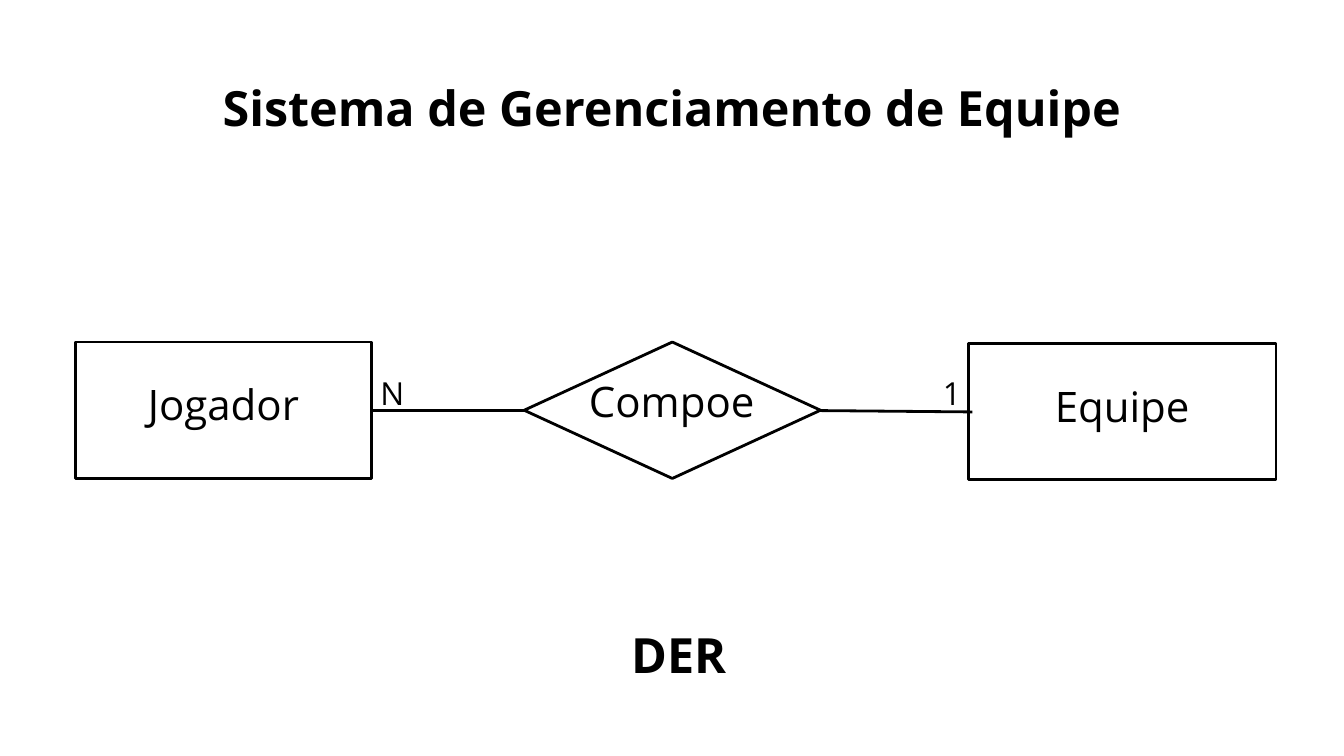
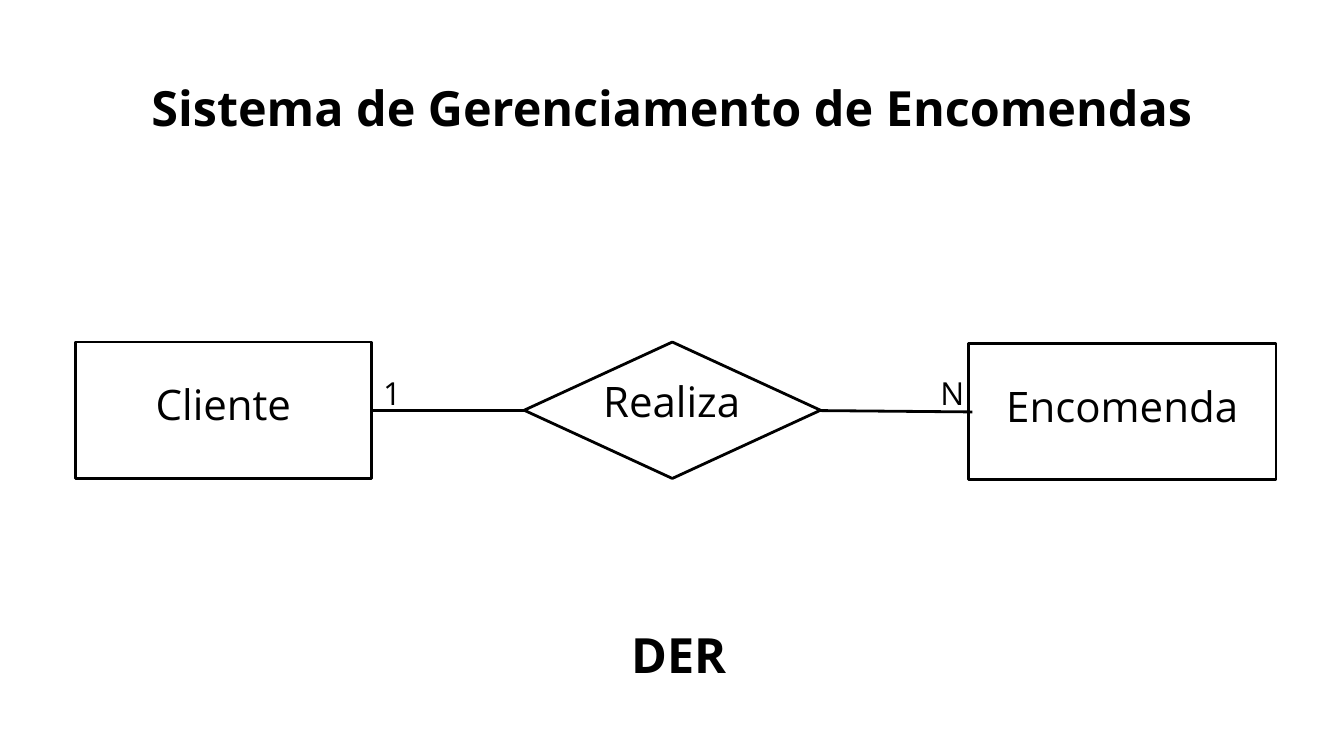
"""Builds two entity-relationship diagram slides that share one layout."""
import pptx
import pptx.dml.color
import pptx.enum.shapes
import pptx.enum.text
import pptx.oxml
import pptx.util

DIAGRAMS = [
    {"title": "Sistema de Gerenciamento de Equipe", "title_width": 1340,
     "names": ("Jogador", "Compoe", "Equipe"), "cardinalities": ("N", "1")},
    {"title": "Sistema de Gerenciamento de Encomendas", "title_width": 1552,
     "names": ("Cliente", "Realiza", "Encomenda"), "cardinalities": ("1", "N")},
]
CAPTION = "DER"

PX = pptx.util.Inches(1) // 100
SLIDE_WIDTH, SLIDE_HEIGHT = 2000, 1125
COLORS = {"ink": "000000", "paper": "FFFFFF"}
FONT = "Open Sans"
LINE_WEIGHT = 3
HEADING = {"size": 52, "spacing": 72.8, "bold": True}
NAME = {"size": 45, "spacing": 63, "inset": 6}
CARDINALITY = {"size": 34, "spacing": 47.6}

SHAPES = pptx.enum.shapes.MSO_SHAPE
NODES = [
    {"kind": SHAPES.RECTANGLE, "frame": (112, 509, 441, 203), "label": (112, 478, 441, 234)},
    {"kind": SHAPES.DIAMOND, "frame": (780, 509, 441, 203), "label": (855, 503, 289, 174)},
    {"kind": SHAPES.RECTANGLE, "frame": (1441, 511, 458, 203), "label": (1441, 480, 458, 234)},
]
LINKS = [(553, 611, 780, 611), (1220, 611, 1447, 613)]
CARDINALITY_CENTERS = (584, 1417)
CARDINALITY_WIDTHS = {"N": 36, "1": 27}
TITLE_CENTER, CAPTION_CENTER = SLIDE_WIDTH // 2, 1010


def scaled(lengths):
    return [length * PX for length in lengths]


def color(name):
    return pptx.dml.color.RGBColor.from_string(COLORS[name])


def centered(center, top, width, height):
    return (2 * center - width) // 2, top, width, height


def style_line(line):
    line.color.rgb = color("ink")
    line.width = pptx.util.Pt(LINE_WEIGHT)


def add_text(slide, text, frame, size, spacing, bold=False, inset=0):
    box = slide.shapes.add_textbox(*scaled(frame))
    text_frame = box.text_frame
    text_frame.text = text
    text_frame.word_wrap = True
    text_frame.margin_left = text_frame.margin_right = inset * PX
    text_frame.margin_top = text_frame.margin_bottom = inset * PX
    anchors = pptx.enum.text.MSO_ANCHOR
    text_frame.vertical_anchor = anchors.MIDDLE if inset else anchors.TOP
    para = text_frame.paragraphs[0]
    para.alignment = pptx.enum.text.PP_ALIGN.CENTER
    para.line_spacing = pptx.util.Pt(spacing)
    font = para.runs[0].font
    font.name, font.size, font.bold = FONT, pptx.util.Pt(size), bold
    font.color.rgb = color("ink")


def add_node(slide, node, name):
    shape = slide.shapes.add_shape(node["kind"], *scaled(node["frame"]))
    shape.shadow.inherit = False
    shape.fill.solid()
    shape.fill.fore_color.rgb = color("paper")
    style_line(shape.line)
    add_text(slide, name, node["label"], **NAME)


def add_link(slide, ends):
    straight = pptx.enum.shapes.MSO_CONNECTOR.STRAIGHT
    link = slide.shapes.add_connector(straight, *scaled(ends))
    style_line(link.line)
    effects = pptx.oxml.parse_xml(
        '<a:effectLst xmlns:a="http://schemas.openxmlformats.org/drawingml/2006/main"/>')
    link._element.spPr.append(effects)


def add_diagram(deck, diagram):
    slide = deck.slides.add_slide(deck.slide_layouts[6])
    for node, name in zip(NODES, diagram["names"]):
        add_node(slide, node, name)
    for ends in LINKS:
        add_link(slide, ends)
    for center, mark in zip(CARDINALITY_CENTERS, diagram["cardinalities"]):
        frame = centered(center, 547, CARDINALITY_WIDTHS[mark], 63)
        add_text(slide, mark, frame, **CARDINALITY)
    title_frame = centered(TITLE_CENTER, 102, diagram["title_width"], 97)
    add_text(slide, diagram["title"], title_frame, **HEADING)
    add_text(slide, CAPTION, centered(CAPTION_CENTER, 915, 162, 97), **HEADING)


def main():
    deck = pptx.Presentation()
    deck.slide_width, deck.slide_height = scaled((SLIDE_WIDTH, SLIDE_HEIGHT))
    for diagram in DIAGRAMS:
        add_diagram(deck, diagram)
    deck.save("out.pptx")


if __name__ == "__main__":
    main()
